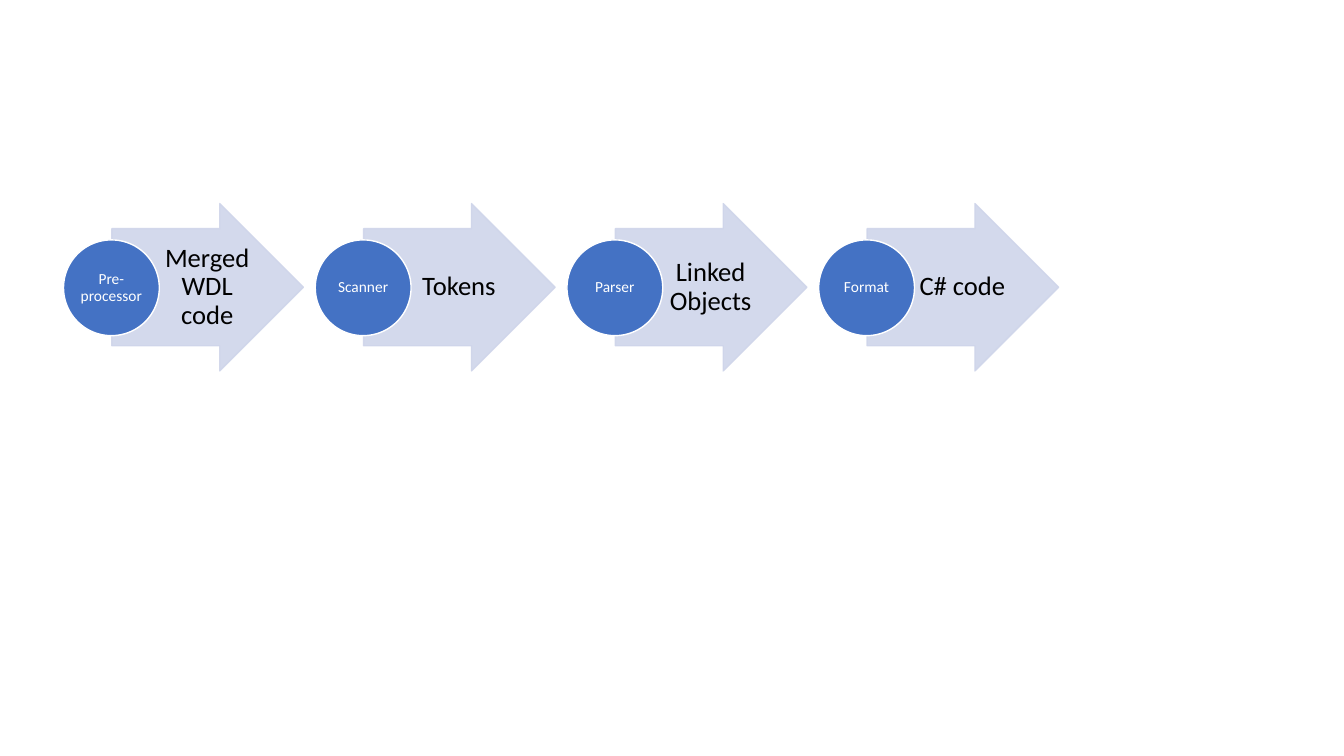
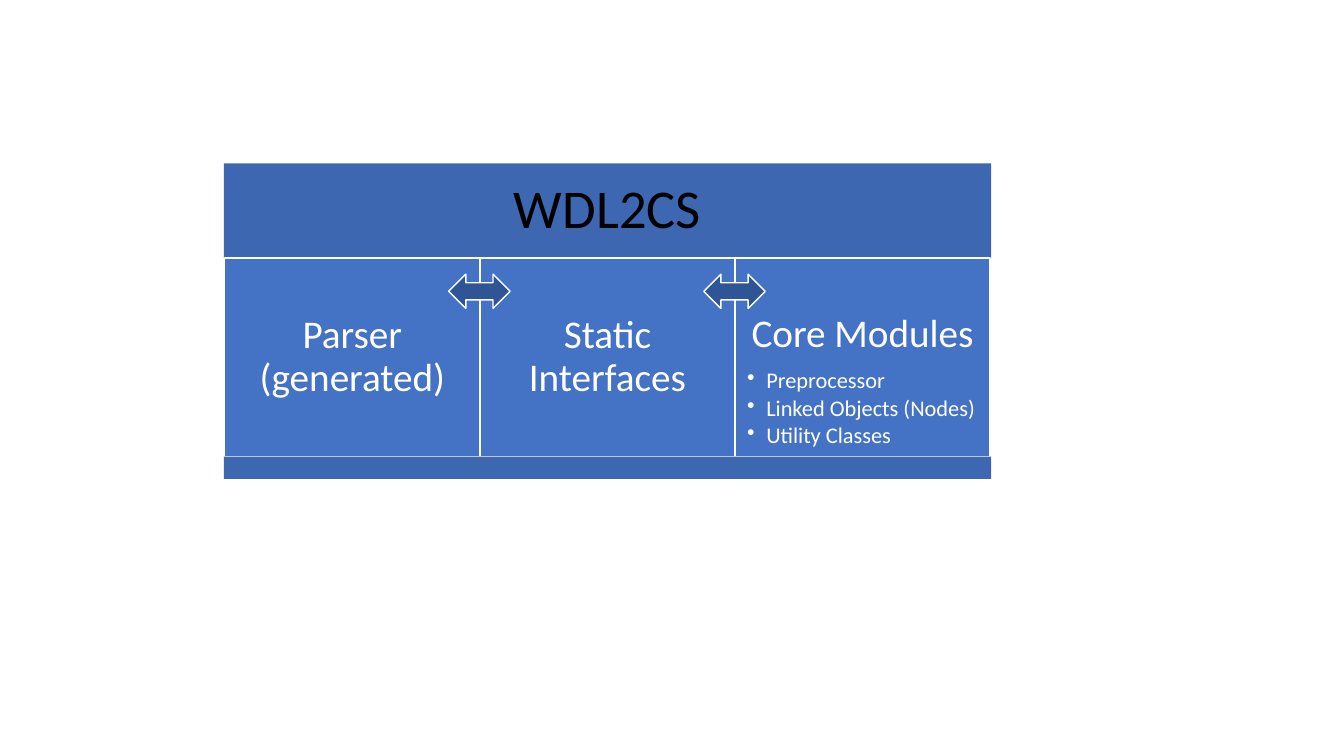
from dataclasses import dataclass

from lxml.etree import SubElement
from pptx import Presentation
from pptx.dml.color import RGBColor
from pptx.enum.shapes import MSO_SHAPE
from pptx.enum.text import MSO_ANCHOR, PP_ALIGN
from pptx.oxml.ns import qn
from pptx.util import Inches, Pt


@dataclass(frozen=True)
class Theme:
    font: str = "Calibri"
    blue: str = "4472C4"
    band: str = "3E67B2"
    navy: str = "2F5597"
    pale: str = "CFD5EA"
    white: str = "FFFFFF"
    black: str = "000000"
    title: int = 39
    head: int = 28
    result: int = 19
    item: int = 16
    stage: int = 11
    opacity: int = 90


THEME = Theme()


def color(text):
    return RGBColor.from_string(text)


def fade(shape):
    for node in shape._element.spPr.iter(qn("a:srgbClr")):
        SubElement(node, qn("a:alpha"), val=str(THEME.opacity * 1000))


def add_form(slide, kind, box, fill, line=None):
    shape = slide.shapes.add_shape(kind, *map(Inches, box))
    shape.shadow.inherit = False
    shape.fill.solid()
    shape.fill.fore_color.rgb = color(fill)
    if line:
        shape.line.color.rgb = color(line)
        shape.line.width = Pt(1)
    else:
        shape.line.fill.background()
    return shape


def style(para, size, tint, align=PP_ALIGN.CENTER, after=0):
    para.alignment = align
    para.line_spacing = 0.9
    para.space_after = Pt(after)
    for run in para.runs:
        run.font.name = THEME.font
        run.font.size = Pt(size)
        run.font.color.rgb = color(tint)


def set_frame(frame, insets, anchor=MSO_ANCHOR.MIDDLE):
    frame.word_wrap = True
    frame.vertical_anchor = anchor
    (frame.margin_left, frame.margin_top,
     frame.margin_right, frame.margin_bottom) = map(Inches, insets)


def set_label(shape, text, size, tint, insets):
    frame = shape.text_frame
    set_frame(frame, insets)
    frame.text = text
    style(frame.paragraphs[0], size, tint)


def add_bullet(frame, text):
    para = frame.add_paragraph()
    para.text = text
    style(para, THEME.item, THEME.white, PP_ALIGN.LEFT, 2.4)
    props = para._p.get_or_add_pPr()
    props.set("marL", str(Inches(0.19)))
    props.set("indent", str(-Inches(0.19)))
    SubElement(props, qn("a:buChar"), char="•")


def add_stage(slide, left, name, result):
    arrow = add_form(slide, MSO_SHAPE.RIGHT_ARROW, (left + 0.48, 2.02, 1.9, 1.66),
                     THEME.pale, THEME.pale)
    arrow.adjustments[0] = 0.7
    arrow.adjustments[1] = 0.5
    fade(arrow)
    label = slide.shapes.add_textbox(*map(Inches, (left + 0.95, 2.27, 0.93, 1.16)))
    set_label(label, result, THEME.result, THEME.black, (0.05, 0.01, 0.03, 0.01))
    circle = add_form(slide, MSO_SHAPE.OVAL, (left, 2.38, 0.95, 0.95),
                      THEME.blue, THEME.white)
    set_label(circle, name, THEME.stage, THEME.white, (0.01,) * 4)


def add_band(slide, top, height):
    return add_form(slide, MSO_SHAPE.RECTANGLE, (2.22, top, 7.61, height), THEME.band)


def add_module(slide, left, width, name, items):
    block = add_form(slide, MSO_SHAPE.RECTANGLE, (left, 2.56, width, 1.97),
                     THEME.blue, THEME.white)
    set_label(block, name, THEME.head, THEME.white, (0.12,) * 4)
    if items:
        frame = block.text_frame
        set_frame(frame, (0.12, 0.55, 0.12, 0.12), MSO_ANCHOR.TOP)
        frame.paragraphs[0].space_after = Pt(9.8)
        for item in items:
            add_bullet(frame, item)


def build_flow(slide):
    stages = [
        ("Pre-processor", "Merged WDL code"),
        ("Scanner", "Tokens"),
        ("Parser", "Linked Objects"),
        ("Format", "C# code"),
    ]
    step = 7.49 / (len(stages) - 1)
    for index, (name, result) in enumerate(stages):
        add_stage(slide, 0.63 + index * step, name, result)


def build_modules(slide):
    modules = [
        ("Parser (generated)", []),
        ("Static Interfaces", []),
        ("Core Modules", ["Preprocessor", "Linked Objects (Nodes)", "Utility Classes"]),
    ]
    left, width = 2.23, 2.53
    header = add_band(slide, 1.62, 0.94)
    set_label(header, "WDL2CS", THEME.title, THEME.black, (0.16,) * 4)
    for index, (name, items) in enumerate(modules):
        add_module(slide, left + index * width, width, name, items)
    add_band(slide, 4.53, 0.22)
    for index in range(1, len(modules)):
        add_form(slide, MSO_SHAPE.LEFT_RIGHT_ARROW,
                 (left + index * width - 0.31, 2.72, 0.61, 0.34),
                 THEME.navy, THEME.white)


def main():
    deck = Presentation()
    deck.slide_width = Inches(13.33)
    deck.slide_height = Inches(7.5)
    for build in (build_flow, build_modules):
        build(deck.slides.add_slide(deck.slide_layouts[6]))
    deck.save("out.pptx")


if __name__ == "__main__":
    main()
